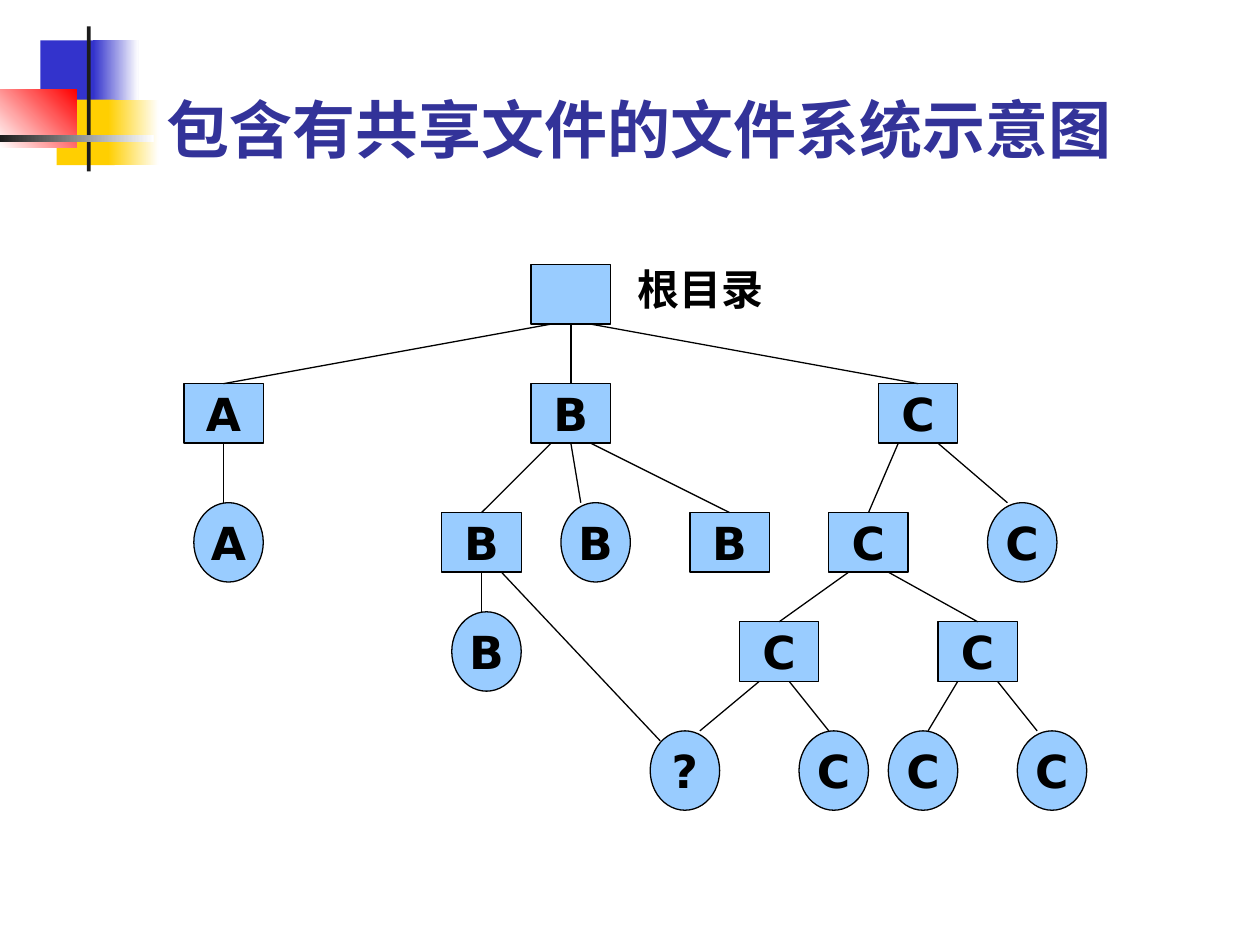
from dataclasses import dataclass

from lxml import etree
from pptx import Presentation
from pptx.dml.color import RGBColor
from pptx.enum.shapes import MSO_CONNECTOR, MSO_SHAPE
from pptx.enum.text import MSO_ANCHOR, MSO_AUTO_SIZE, PP_ALIGN
from pptx.oxml.ns import qn
from pptx.util import Inches, Pt

BOX, OVAL = MSO_SHAPE.RECTANGLE, MSO_SHAPE.OVAL
STRAIGHT = MSO_CONNECTOR.STRAIGHT
MIDDLE, BOTTOM = MSO_ANCHOR.MIDDLE, MSO_ANCHOR.BOTTOM
CENTER, LEFT = PP_ALIGN.CENTER, PP_ALIGN.LEFT
NO_FIT = MSO_AUTO_SIZE.NONE


@dataclass(frozen=True)
class Theme:
    ink: str = "000000"
    node: str = "99CCFF"
    title: str = "333399"
    white: str = "FFFFFF"
    blue: str = "3333CC"
    gold: str = "FFCF01"
    red: str = "FF0000"
    bar: str = "1C1C1C"
    title_font: str = "Lato"
    body_font: str = "DejaVu Sans"
    title_size: float = 36
    node_size: float = 26
    label_size: float = 24
    line_width: float = 0.74


THEME = Theme()
UNIT = 0.2 / 2.54
ORIGIN_X, ORIGIN_Y = 1.46, 2.1
SIZES = {BOX: (8, 6), OVAL: (7, 8)}
PADDING = {
    "margin_left": Inches(0.14), "margin_right": Inches(0.14),
    "margin_top": Inches(0.07), "margin_bottom": Inches(0.07),
}

ORNAMENT = [
    ((0.32, 0.32, 0.48, 0.52), [THEME.blue], 0),
    ((0.74, 0.32, 0.36, 0.52), [THEME.blue, THEME.white], 0),
    ((0.45, 0.79, 0.46, 0.52), [THEME.gold], 0),
    ((0.86, 0.79, 0.4, 0.52), [THEME.gold, THEME.white], 0),
    ((0, 0.71, 0.61, 0.46), [THEME.white, THEME.red], 45),
    ((0.69, 0.21, 0.03, 1.15), [THEME.bar], 0),
    ((0, 1.07, 1.22, 0.06), [THEME.bar, THEME.white], 0),
]

# name: (shape, label, column, row)
NODES = {
    "root": (BOX, "", 35, 0),
    "dir_a": (BOX, "A", 0, 12),
    "dir_b": (BOX, "B", 35, 12),
    "dir_c": (BOX, "C", 70, 12),
    "dir_b_left": (BOX, "B", 26, 25),
    "dir_b_right": (BOX, "B", 51, 25),
    "dir_c_main": (BOX, "C", 65, 25),
    "dir_c_left": (BOX, "C", 56, 36),
    "dir_c_right": (BOX, "C", 76, 36),
    "file_a": (OVAL, "A", 1, 24),
    "file_b": (OVAL, "B", 38, 24),
    "file_b_deep": (OVAL, "B", 27, 35),
    "file_c": (OVAL, "C", 81, 24),
    "file_c_1": (OVAL, "C", 62, 47),
    "shared": (OVAL, "?", 47, 47),
    "file_c_2": (OVAL, "C", 71, 47),
    "file_c_3": (OVAL, "C", 84, 47),
}

# parent, child, shift from parent centre, shift from child centre, drop
EDGES = [
    ("root", "dir_a", -2, 0, 0),
    ("root", "dir_b", 0, 0, 0),
    ("root", "dir_c", 2, 0, 0),
    ("dir_a", "file_a", 0, -0.5, 0),
    ("dir_b", "dir_b_left", -2, 0, 0),
    ("dir_b", "file_b", 0, -1.5, 0),
    ("dir_b", "dir_b_right", 2, 0, 0),
    ("dir_b_left", "file_b_deep", 0, -0.5, 0),
    ("dir_c", "dir_c_main", -2, 0, 0),
    ("dir_c", "file_c", 2, -1.5, 0),
    ("dir_c_main", "dir_c_left", -2, 0, 0),
    ("dir_c_main", "dir_c_right", 2, 0, 0),
    ("dir_c_left", "shared", -2, 1.5, 0),
    ("dir_c_left", "file_c_1", 1, -0.5, 0),
    ("dir_c_right", "file_c_2", -2, 0.5, 0),
    ("dir_c_right", "file_c_3", 2, -1.5, 0),
    ("dir_b_left", "shared", 2, -2.5, 1),
]


def apply(target, values):
    for name, value in values.items():
        setattr(target, name, value)


def color(code):
    return RGBColor.from_string(code)


def grid_point(column, row):
    return Inches(ORIGIN_X + column * UNIT), Inches(ORIGIN_Y + row * UNIT)


def write(shape, text, font, size, code, frame_format, para_format):
    frame = shape.text_frame
    apply(frame, frame_format)
    para = frame.paragraphs[0]
    apply(para, para_format)
    span = para.add_run()
    span.text = text
    apply(span.font, {"name": font, "size": Pt(size), "bold": True})
    span.font.color.rgb = color(code)


def draw_line(line):
    line.color.rgb = color(THEME.ink)
    line.width = Pt(THEME.line_width)


def add_ornament(page, place, colors, angle):
    block = page.shapes.add_shape(BOX, *map(Inches, place))
    block.shadow.inherit = False
    block.line.fill.background()
    if len(colors) == 1:
        block.fill.solid()
        block.fill.fore_color.rgb = color(colors[0])
        return
    block.fill.gradient()
    block.fill.gradient_angle = angle
    for stop, code in zip(block.fill.gradient_stops, colors):
        stop.color.rgb = color(code)


def set_title(page, text):
    title = page.shapes.title
    place = map(Inches, (1.22, 0.6, 8.52, 0.77))
    apply(title, dict(zip(("left", "top", "width", "height"), place)))
    write(title, text, THEME.title_font, THEME.title_size, THEME.title,
          {"vertical_anchor": BOTTOM, "word_wrap": True, "auto_size": NO_FIT},
          {"alignment": LEFT})


def add_node(page, kind, label, column, row):
    width, height = (Inches(count * UNIT) for count in SIZES[kind])
    node = page.shapes.add_shape(kind, *grid_point(column, row), width, height)
    node.shadow.inherit = False
    node.fill.solid()
    node.fill.fore_color.rgb = color(THEME.node)
    draw_line(node.line)
    if label:
        write(node, label, THEME.body_font, THEME.node_size, THEME.ink,
              {**PADDING, "vertical_anchor": MIDDLE, "word_wrap": False},
              {"alignment": CENTER})


def add_edge(page, parent, child, parent_shift, child_shift, drop):
    kind, _, column, row = NODES[parent]
    width, height = SIZES[kind]
    start = grid_point(column + width / 2 + parent_shift, row + height)
    kind, _, column, row = NODES[child]
    end = grid_point(column + SIZES[kind][0] / 2 + child_shift, row + drop)
    edge = page.shapes.add_connector(STRAIGHT, *start, *end)
    draw_line(edge.line)
    etree.SubElement(edge._element.spPr, qn("a:effectLst"))


def add_label(page, text):
    label = page.shapes.add_textbox(*map(Inches, (4.92, 2.02, 1.42, 0.54)))
    write(label, text, THEME.body_font, THEME.label_size, THEME.ink,
          {**PADDING, "word_wrap": True}, {"space_before": Pt(15)})


def main():
    deck = Presentation()
    apply(deck, {"slide_width": Inches(10), "slide_height": Inches(7.5)})
    page = deck.slides.add_slide(deck.slide_layouts[5])
    for ornament in ORNAMENT:
        add_ornament(page, *ornament)
    set_title(page, "包含有共享文件的文件系统示意图")
    for node in NODES.values():
        add_node(page, *node)
    for edge in EDGES:
        add_edge(page, *edge)
    add_label(page, "根目录")
    deck.save("out.pptx")


main()
